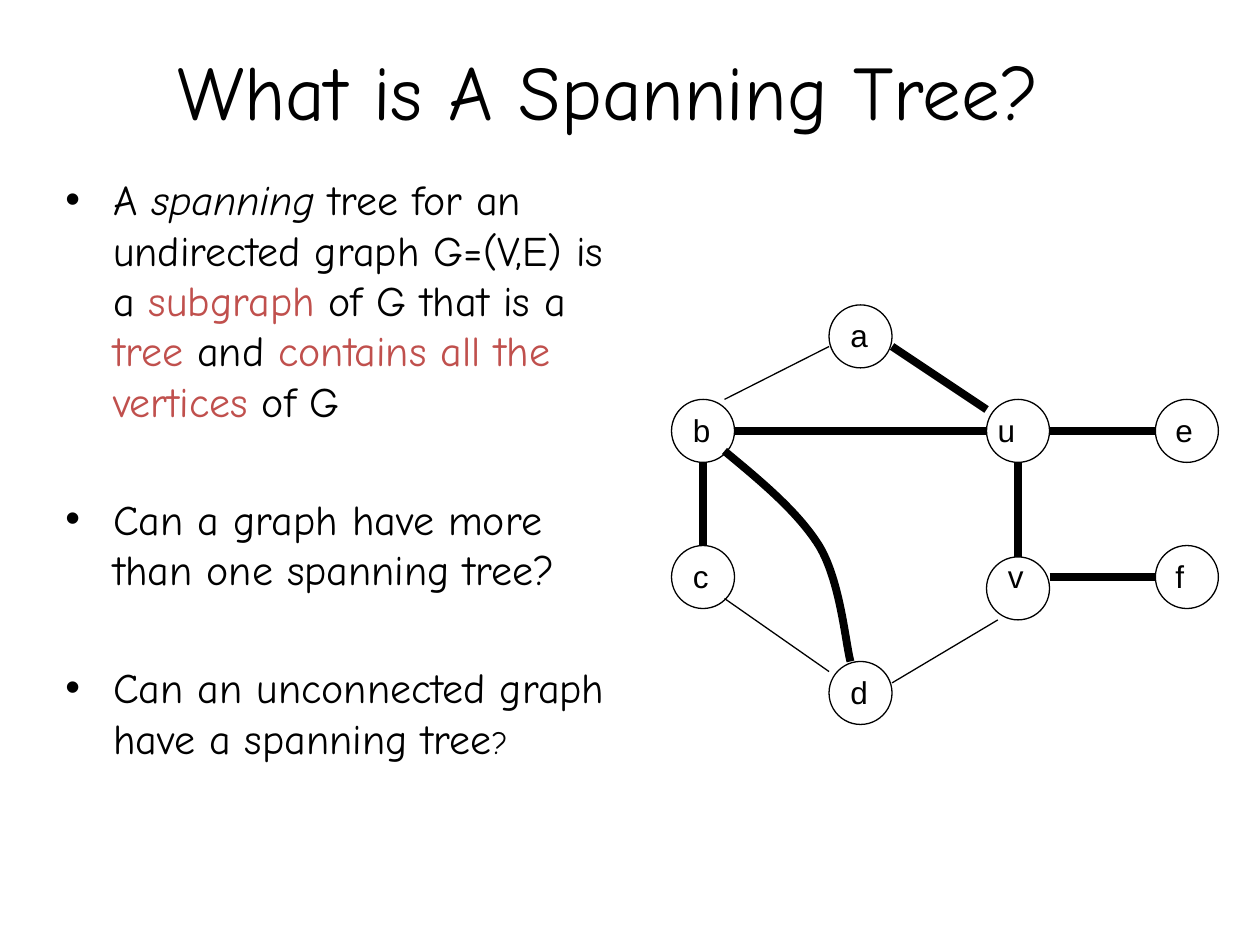
from pptx import Presentation
from pptx.dml.color import RGBColor
from pptx.enum.shapes import MSO_CONNECTOR, MSO_SHAPE
from pptx.enum.text import MSO_ANCHOR, PP_ALIGN
from pptx.oxml.ns import qn
from pptx.util import Inches, Pt
from lxml import etree

OVAL, STRAIGHT = MSO_SHAPE.OVAL, MSO_CONNECTOR.STRAIGHT
TOP, MIDDLE = MSO_ANCHOR.TOP, MSO_ANCHOR.MIDDLE
LEFT, CENTER = PP_ALIGN.LEFT, PP_ALIGN.CENTER
BLACK = RGBColor(0, 0, 0)
RED = RGBColor(0xC0, 0x50, 0x4D)
TITLE_FONT, LABEL_FONT = "Comic Neue", "Arial"
THIN, THICK = 0.75, 4.5
DIAMETER = 0.5

# Node name: circle left, top, label left, top
NODES = {
    "b": (5.33, 3.17, 5.4, 3.21),
    "c": (5.33, 4.33, 5.4, 4.37),
    "a": (6.58, 2.42, 6.65, 2.46),
    "u": (7.83, 3.17, 7.82, 3.21),
    "d": (6.58, 5.25, 6.65, 5.29),
    "v": (7.83, 4.42, 7.9, 4.37),
    "e": (9.17, 3.17, 9.23, 3.21),
    "f": (9.17, 4.33, 9.23, 4.37),
}
TREE_EDGES = [
    (5.58, 3.67, 5.58, 4.33),  # b-c
    (7.08, 2.75, 7.83, 3.25),  # a-u
    (8.08, 3.67, 8.08, 4.42),  # u-v
    (5.83, 3.42, 7.83, 3.42),  # b-u
    (8.33, 3.42, 9.17, 3.42),  # u-e
    (8.33, 4.58, 9.17, 4.58),  # v-f
]
OTHER_EDGES = [
    (5.75, 3.17, 6.58, 2.75),  # b-a
    (5.75, 4.75, 6.58, 5.33),  # c-d
    (7.08, 5.42, 7.92, 4.92),  # d-v
]
# Start point, then three points for each cubic segment
CURVED_EDGE = [(5.75, 3.58), (6.04, 3.82), (6.33, 4.06), (6.5, 4.33),
               (6.67, 4.61), (6.71, 5.1), (6.75, 5.25)]

# Each bullet: space before, then runs of text and format
BULLETS = [
    (4.8, [("A ", {}), ("spanning", {"italic": True}),
           (" tree for an undirected graph G=(V,E) is a ", {}),
           ("subgraph", {"color": RED}), (" of G that is a ", {}),
           ("tree", {"color": RED}), (" and ", {}),
           ("contains all the vertices", {"color": RED}), (" of G", {})]),
    (38.6, [("Can a graph have more than one spanning tree?", {})]),
    (38.6, [("Can an unconnected graph have a spanning tree", {}),
            ("?", {"size": Pt(18)})]),
]


def add_run(p, text, name, size, color=BLACK, **fmt):
    r = p.add_run()
    r.text = text
    r.font.color.rgb = color
    for key, value in {"name": name, "size": Pt(size), **fmt}.items():
        setattr(r.font, key, value)


def add_box(s, left, top, width, height, wrap=True, anchor=TOP):
    box = s.shapes.add_textbox(*map(Inches, (left, top, width, height)))
    tf = box.text_frame
    tf.word_wrap, tf.vertical_anchor = wrap, anchor
    return tf


def set_line(sp, width):
    sp.line.color.rgb = BLACK
    sp.line.width = Pt(width)


def add_circle(s, left, top):
    sp = s.shapes.add_shape(
        OVAL, *map(Inches, (left, top, DIAMETER, DIAMETER)))
    sp.shadow.inherit = False
    sp.fill.background()
    set_line(sp, THIN)


def add_edge(s, ends, width):
    line = s.shapes.add_connector(STRAIGHT, *map(Inches, ends))
    set_line(line, width)
    etree.SubElement(line._element.spPr, qn("a:effectLst"))


def add_curve(s, points, width):
    pts = [(Inches(x), Inches(y)) for x, y in points]
    builder = s.shapes.build_freeform(*pts[0])
    builder.add_line_segments(pts[1:], close=False)
    sp = builder.convert_to_shape()
    sp.shadow.inherit = False
    sp.fill.background()
    set_line(sp, width)
    # Join each three straight steps into one cubic segment
    steps = sp._element.xpath(".//a:lnTo")
    for i in range(0, len(steps), 3):
        cubic = etree.Element(qn("a:cubicBezTo"))
        steps[i].addprevious(cubic)
        for step in steps[i:i + 3]:
            cubic.append(step[0])
            step.getparent().remove(step)


def add_bullet(p, space, runs):
    p.alignment, p.space_before = LEFT, Pt(space)
    pPr = p._p.get_or_add_pPr()
    pPr.set("marL", str(Inches(0.38)))
    pPr.set("indent", str(-Inches(0.38)))
    etree.SubElement(pPr, qn("a:buFont"), typeface=LABEL_FONT)
    etree.SubElement(pPr, qn("a:buChar"), char="•")
    for text, fmt in runs:
        add_run(p, text, **{"name": TITLE_FONT, "size": 24, **fmt}
                if "size" not in fmt else
                {"name": TITLE_FONT, "size": fmt["size"].pt})


def main():
    prs = Presentation()
    prs.slide_width, prs.slide_height = Inches(10), Inches(7.5)
    s = prs.slides.add_slide(prs.slide_layouts[6])

    # Title
    p = add_box(s, 0.58, 0.25, 8.5, 0.92, anchor=MIDDLE).paragraphs[0]
    p.alignment = CENTER
    add_run(p, "What is A Spanning Tree?", TITLE_FONT, 44)

    # Graph
    for left, top, _, _ in NODES.values():
        add_circle(s, left, top)
    for edges, width in ((OTHER_EDGES, THIN), (TREE_EDGES, THICK)):
        for ends in edges:
            add_edge(s, ends, width)
    add_curve(s, CURVED_EDGE, THICK)
    for name, (_, _, left, top) in NODES.items():
        width = 0.27 if name == "f" else 0.34
        tf = add_box(s, left, top, width, 0.4, wrap=False)
        add_run(tf.paragraphs[0], name, LABEL_FONT, 18)

    # Definition and questions
    tf = add_box(s, 0.42, 1.33, 4.67, 5.33)
    for i, (space, runs) in enumerate(BULLETS):
        p = tf.add_paragraph() if i else tf.paragraphs[0]
        add_bullet(p, space, runs)

    prs.save("out.pptx")


main()
